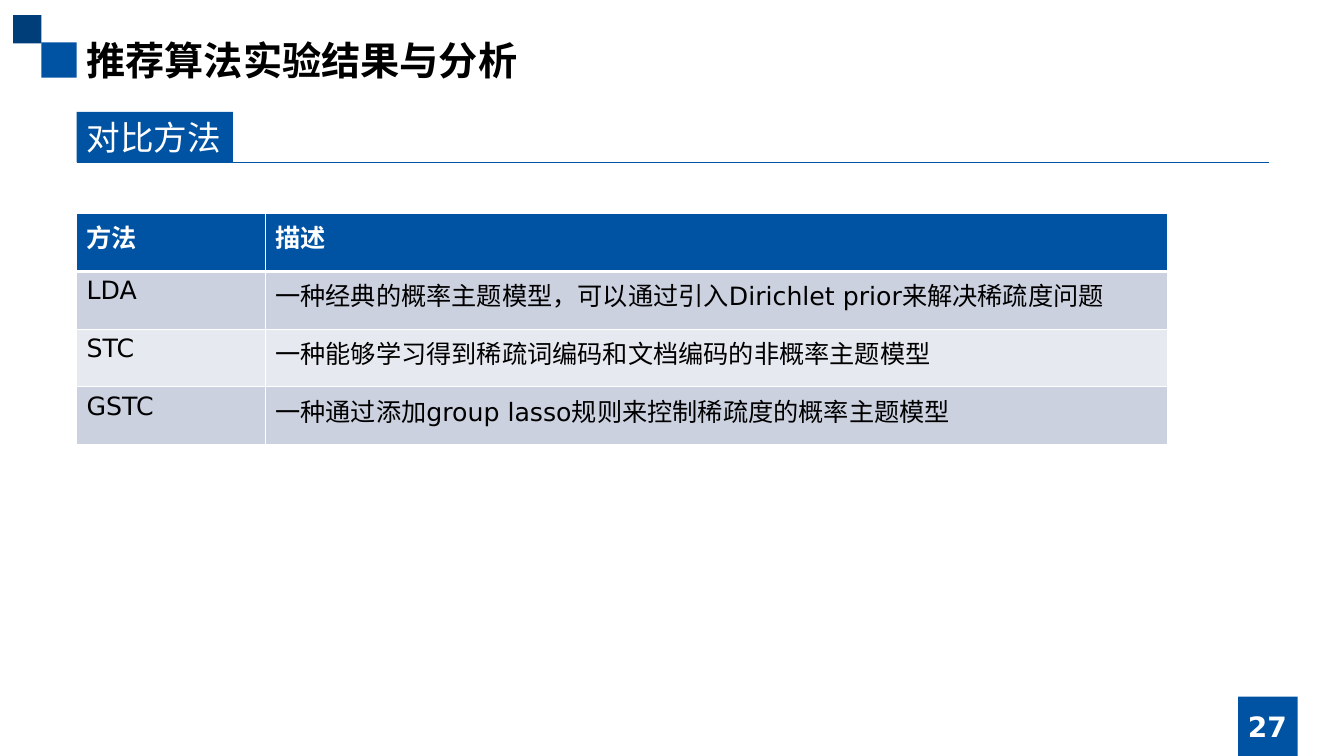
from dataclasses import dataclass

from lxml import etree
from pptx import Presentation
from pptx import util as u
from pptx.dml.color import RGBColor
from pptx.enum import shapes, text
from pptx.oxml import ns

FONT = "DejaVu Sans"
BLUE = RGBColor(0x00, 0x53, 0xA3)
NAVY = RGBColor(0x00, 0x3E, 0x7A)
WHITE = RGBColor(0xFF, 0xFF, 0xFF)
BLACK = RGBColor(0x00, 0x00, 0x00)
BAND_DARK = RGBColor(0xCC, 0xD1, 0xE0)
BAND_LIGHT = RGBColor(0xE7, 0xE9, 0xF0)


@dataclass(frozen=True)
class Box:
    left: float
    top: float
    width: float
    height: float

    def lengths(self) -> tuple:
        return tuple(map(u.Inches, (self.left, self.top, self.width, self.height)))


@dataclass(frozen=True)
class Style:
    size: int
    color: RGBColor
    bold: bool = False


@dataclass(frozen=True)
class Block:
    box: Box
    color: RGBColor


@dataclass(frozen=True)
class Method:
    name: str
    description: str


CORNER_BLOCKS = [
    Block(Box(0.41, 0.42, 0.35, 0.35), BLUE),
    Block(Box(0.13, 0.15, 0.28, 0.28), NAVY),
    Block(Box(12.28, 6.91, 0.59, 0.59), BLUE),
]
METHODS = [
    Method("方法", "描述"),
    Method("LDA", "一种经典的概率主题模型，可以通过引入Dirichlet prior来解决稀疏度问题"),
    Method("STC", "一种能够学习得到稀疏词编码和文档编码的非概率主题模型"),
    Method("GSTC", "一种通过添加group lasso规则来控制稀疏度的概率主题模型"),
]
COLUMN_WIDTHS = (1.87, 8.95)


def write(tf, words: str, style: Style) -> None:
    tf.text = words
    font = tf.paragraphs[0].runs[0].font
    font.name = FONT
    font.size = u.Pt(style.size)
    font.bold = style.bold
    font.color.rgb = style.color


def add_block(parent, block: Block):
    sp = parent.add_shape(shapes.MSO_SHAPE.RECTANGLE, *block.box.lengths())
    sp.shadow.inherit = False
    sp.fill.solid()
    sp.fill.fore_color.rgb = block.color
    sp.line.fill.background()
    return sp


def add_text(parent, box: Box, words: str, style: Style):
    tf = parent.add_textbox(*box.lengths()).text_frame
    tf.word_wrap = True
    write(tf, words, style)
    return tf


def add_section(parent, words: str) -> None:
    group = parent.add_group_shape().shapes
    tf = add_block(group, Block(Box(0.76, 1.11, 1.55, 0.5), BLUE)).text_frame
    tf.word_wrap = False
    tf.vertical_anchor = text.MSO_ANCHOR.TOP
    write(tf, words, Style(24, WHITE))
    tf.paragraphs[0].alignment = text.PP_ALIGN.LEFT
    rule = group.add_connector(
        shapes.MSO_CONNECTOR.STRAIGHT,
        *map(u.Inches, (0.76, 1.61, 12.59, 1.61)),
    )
    rule.line.color.rgb = BLUE
    rule.line.width = u.Pt(0.5)
    etree.SubElement(rule._element.spPr, ns.qn("a:effectLst"))


def add_borders(cell, top: float, bottom: float) -> None:
    tc_pr = cell._tc.get_or_add_tcPr()
    for side, width in zip("LRTB", (1, 1, top, bottom)):
        ln = etree.SubElement(tc_pr, ns.qn(f"a:ln{side}"), w=str(u.Pt(width)))
        fill = etree.SubElement(ln, ns.qn("a:solidFill"))
        etree.SubElement(fill, ns.qn("a:srgbClr"), val=str(WHITE))


def add_methods_table(parent, methods: list[Method]) -> None:
    box = Box(0.76, 2.12, sum(COLUMN_WIDTHS), 2.29)
    table = parent.add_table(len(methods), len(COLUMN_WIDTHS), *box.lengths()).table
    for column, width in zip(table.columns, COLUMN_WIDTHS):
        column.width = u.Inches(width)
    for row, method in enumerate(methods):
        header = row == 0
        color = BLUE if header else BAND_DARK if row % 2 else BAND_LIGHT
        style = Style(18, WHITE if header else BLACK, header)
        for col, words in enumerate((method.name, method.description)):
            cell = table.cell(row, col)
            add_borders(cell, 3 if row == 1 else 1, 3 if header else 1)
            cell.fill.solid()
            cell.fill.fore_color.rgb = color
            write(cell.text_frame, words, style)


def main() -> None:
    prs = Presentation()
    prs.slide_width = u.Inches(13.33)
    prs.slide_height = u.Inches(7.5)
    s = prs.slides.add_slide(prs.slide_layouts[6])
    for block in CORNER_BLOCKS:
        add_block(s.shapes, block)
    add_text(s.shapes, Box(0.76, 0.31, 11.81, 0.57), "推荐算法实验结果与分析", Style(28, BLACK, True))
    number = add_text(s.shapes, Box(11.81, 7.01, 1.52, 0.4), "27", Style(20, WHITE, True))
    number.vertical_anchor = text.MSO_ANCHOR.MIDDLE
    number.paragraphs[0].alignment = text.PP_ALIGN.CENTER
    add_section(s.shapes, "对比方法")
    add_methods_table(s.shapes, METHODS)
    prs.save("out.pptx")


if __name__ == "__main__":
    main()
